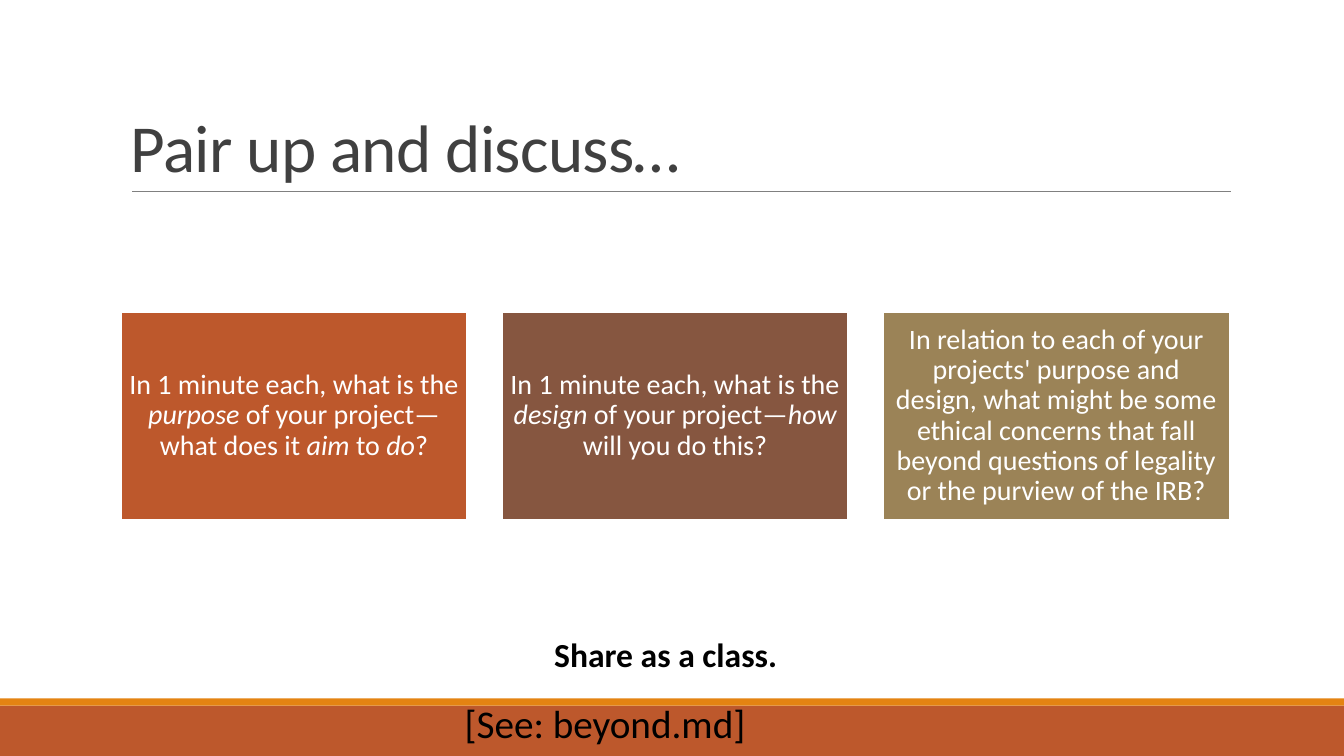
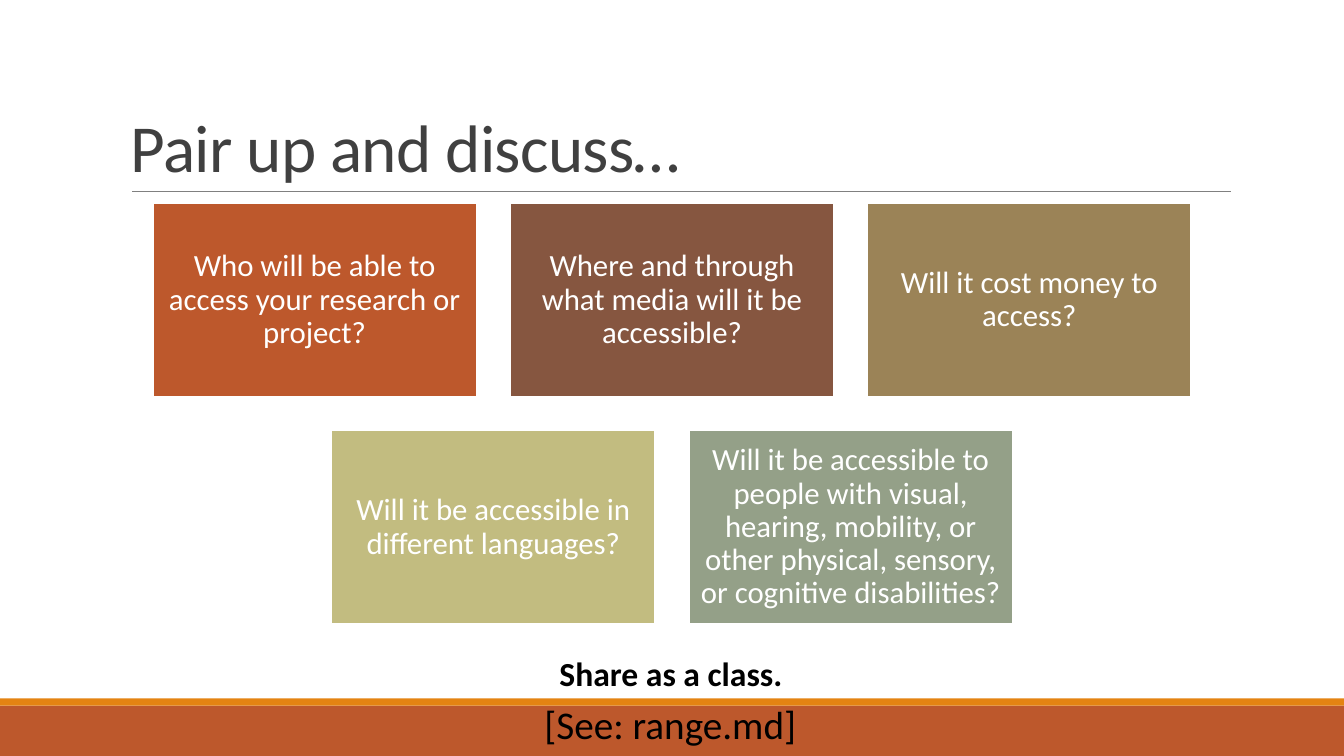
from dataclasses import dataclass

from lxml.etree import SubElement
from pptx import Presentation
from pptx.dml.color import RGBColor
from pptx.enum.shapes import MSO_CONNECTOR, MSO_SHAPE
from pptx.enum.text import MSO_ANCHOR, MSO_AUTO_SIZE, PP_ALIGN
from pptx.oxml.ns import qn
from pptx.util import Emu, Pt

SLIDE_W, SLIDE_H = 1280, 720
TITLE_ONLY = 5


@dataclass(frozen=True)
class Theme:
    font: str = "Calibri"
    title: str = "404040"
    text: str = "000000"
    white: str = "FFFFFF"
    rule: str = "808080"
    band: str = "BD582C"
    stripe: str = "E48312"
    cards: tuple = ("BD582C", "865640", "9B8357", "C2BC80", "94A088")
    title_size: int = 48
    closing_size: int = 24
    reference_size: int = 28


THEME = Theme()


def px(length):
    return Emu(round(length * 9525))


def place(box):
    return [px(length) for length in box]


def rgb(color):
    return RGBColor.from_string(color)


def style_runs(paragraph, size, color, bold=None):
    for run in paragraph.runs:
        run.font.name = THEME.font
        run.font.size = Pt(size)
        run.font.bold = bold
        run.font.color.rgb = rgb(color)


def add_block(slide, box, fill):
    block = slide.shapes.add_shape(MSO_SHAPE.RECTANGLE, *place(box))
    block.shadow.inherit = False
    block.fill.solid()
    block.fill.fore_color.rgb = rgb(fill)
    block.line.fill.background()
    return block


def add_footer(slide, box):
    left, top, width, height = box
    stripe_height = 7
    add_block(slide, (left, top + stripe_height, width, height - stripe_height), THEME.band)
    add_block(slide, (left, top, width, stripe_height), THEME.stripe)


def add_heading(slide, box, wording):
    left, top, width, height = box
    heading = slide.shapes.title
    heading.left, heading.top, heading.width, heading.height = place(box)
    frame = heading.text_frame
    frame.text = wording
    frame.auto_size = MSO_AUTO_SIZE.NONE
    frame.vertical_anchor = MSO_ANCHOR.BOTTOM
    paragraph = frame.paragraphs[0]
    paragraph.alignment = PP_ALIGN.LEFT
    paragraph.line_spacing = 0.85
    style_runs(paragraph, THEME.title_size, THEME.title)
    for run in paragraph.runs:
        run.font._element.set("spc", "-50")

    bottom = px(top + height)
    rule = slide.shapes.add_connector(
        MSO_CONNECTOR.STRAIGHT, px(left + 11), bottom, px(left + width + 1), bottom)
    rule.line.color.rgb = rgb(THEME.rule)
    rule.line.width = Pt(0.5)
    SubElement(rule._element.spPr, qn("a:effectLst"))


def add_question(slide, box, question, fill, size, border, inset):
    """Draw one card; asterisks in the question enclose italic words."""
    card = add_block(slide, box, fill)
    card.line.color.rgb = rgb(THEME.white)
    card.line.width = Pt(border)
    frame = card.text_frame
    frame.word_wrap = True
    frame.vertical_anchor = MSO_ANCHOR.MIDDLE
    frame.margin_left = frame.margin_right = px(inset)
    frame.margin_top = frame.margin_bottom = px(inset)
    paragraph = frame.paragraphs[0]
    paragraph.alignment = PP_ALIGN.CENTER
    paragraph.line_spacing = 0.9
    for index, part in enumerate(question.split("*")):
        run = paragraph.add_run()
        run.text = part
        run.font.italic = index % 2 == 1
    style_runs(paragraph, size, THEME.white)


def add_question_grid(slide, box, questions, size, border, inset, columns=3):
    """Fill rows of cards, each row centred; gaps are a tenth of a card's width."""
    left, top, width = box
    card_w = width / (columns + (columns - 1) / 10)
    card_h, gap = card_w * 0.6, card_w / 10
    for index, question in enumerate(questions):
        row, column = divmod(index, columns)
        in_row = min(columns, len(questions) - row * columns)
        indent = (columns - in_row) * (card_w + gap) / 2
        card_box = (left + indent + column * (card_w + gap),
                    top + row * (card_h + gap), card_w, card_h)
        add_question(slide, card_box, question, THEME.cards[index], size, border, inset)


def add_caption(slide, box, wording, size, align, wrap, bold=None):
    frame = slide.shapes.add_textbox(*place(box)).text_frame
    frame.text = wording
    frame.word_wrap = wrap
    frame.auto_size = MSO_AUTO_SIZE.SHAPE_TO_FIT_TEXT
    frame.paragraphs[0].alignment = align
    style_runs(frame.paragraphs[0], size, THEME.text, bold)


def add_discussion_slide(deck, questions, grid, closing_box, reference, reference_box,
                         size, border, inset):
    slide = deck.slides.add_slide(deck.slide_layouts[TITLE_ONLY])
    add_footer(slide, (0, 665, SLIDE_W, SLIDE_H - 665))
    add_heading(slide, (115, 30, 1056, 152), "Pair up and discuss…")
    add_question_grid(slide, grid, questions, size, border, inset)
    add_caption(slide, closing_box, "Share as a class.", THEME.closing_size,
                PP_ALIGN.CENTER, wrap=True, bold=True)
    add_caption(slide, reference_box, reference, THEME.reference_size,
                PP_ALIGN.LEFT, wrap=False)


def main():
    deck = Presentation()
    deck.slide_width, deck.slide_height = px(SLIDE_W), px(SLIDE_H)
    add_discussion_slide(
        deck,
        questions=(
            "In 1 minute each, what is the *purpose* of your project—"
            "what does it *aim* to *do*?",
            "In 1 minute each, what is the *design* of your project—"
            "*how* will you do this?",
            "In relation to each of your projects' purpose and design, what might be "
            "some ethical concerns that fall beyond questions of legality or the "
            "purview of the IRB?",
        ),
        grid=(115, 297, 1056),
        closing_box=(371, 599, 526, 48),
        reference="[See: beyond.md]",
        reference_box=(433, 661, 290, 55),
        size=20, border=1.25, inset=8)
    add_discussion_slide(
        deck,
        questions=(
            "Who will be able to access your research or project?",
            "Where and through what media will it be accessible?",
            "Will it cost money to access?",
            "Will it be accessible in different languages?",
            "Will it be accessible to people with visual, hearing, mobility, or other "
            "physical, sensory, or cognitive disabilities?",
        ),
        grid=(145, 193, 990),
        closing_box=(376, 617, 526, 48),
        reference="[See: range.md]",
        reference_box=(509, 662, 262, 55),
        size=22, border=2, inset=9)
    deck.save("out.pptx")


if __name__ == "__main__":
    main()
